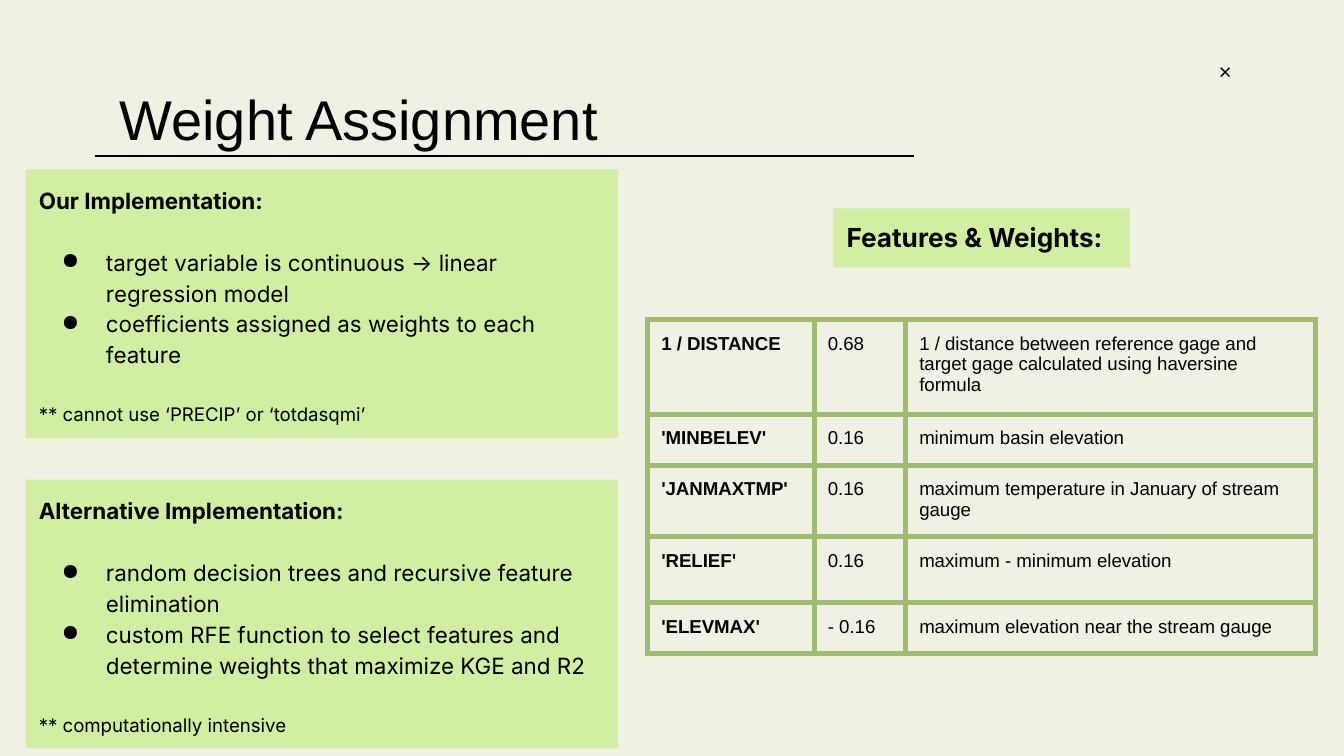
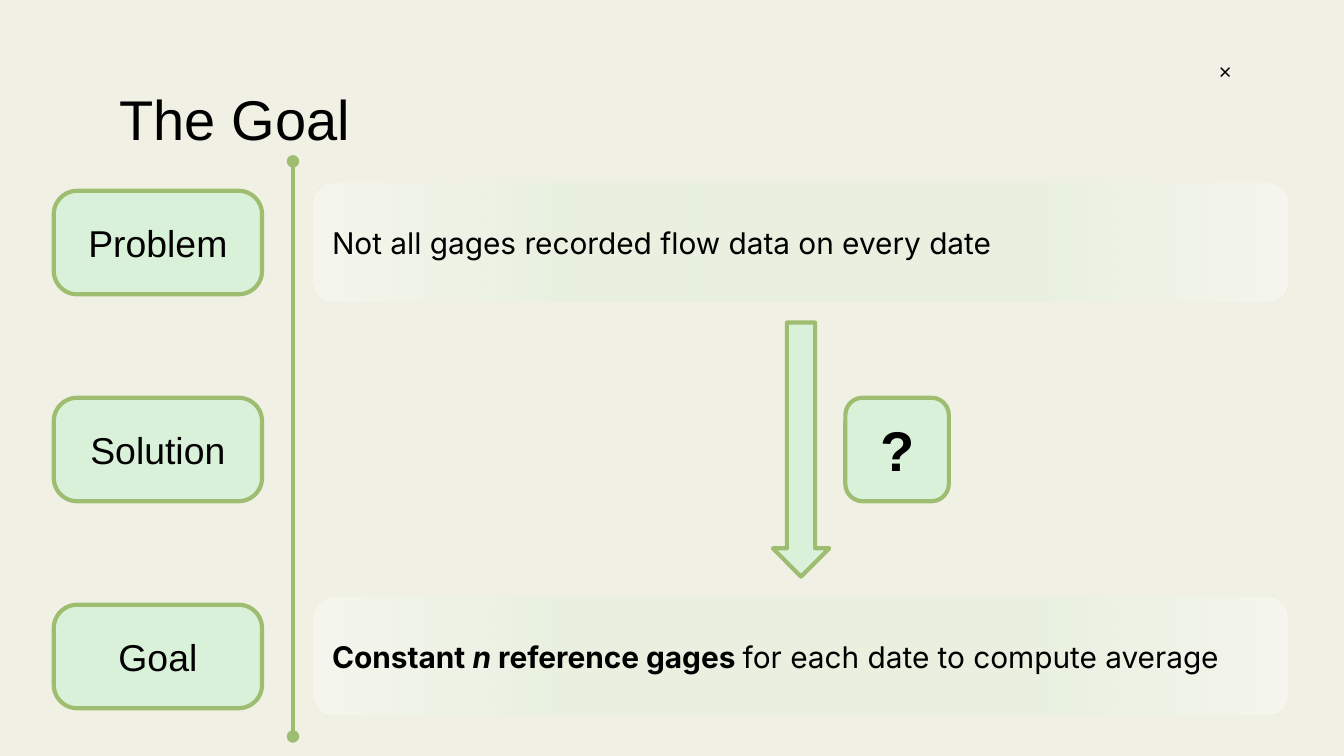
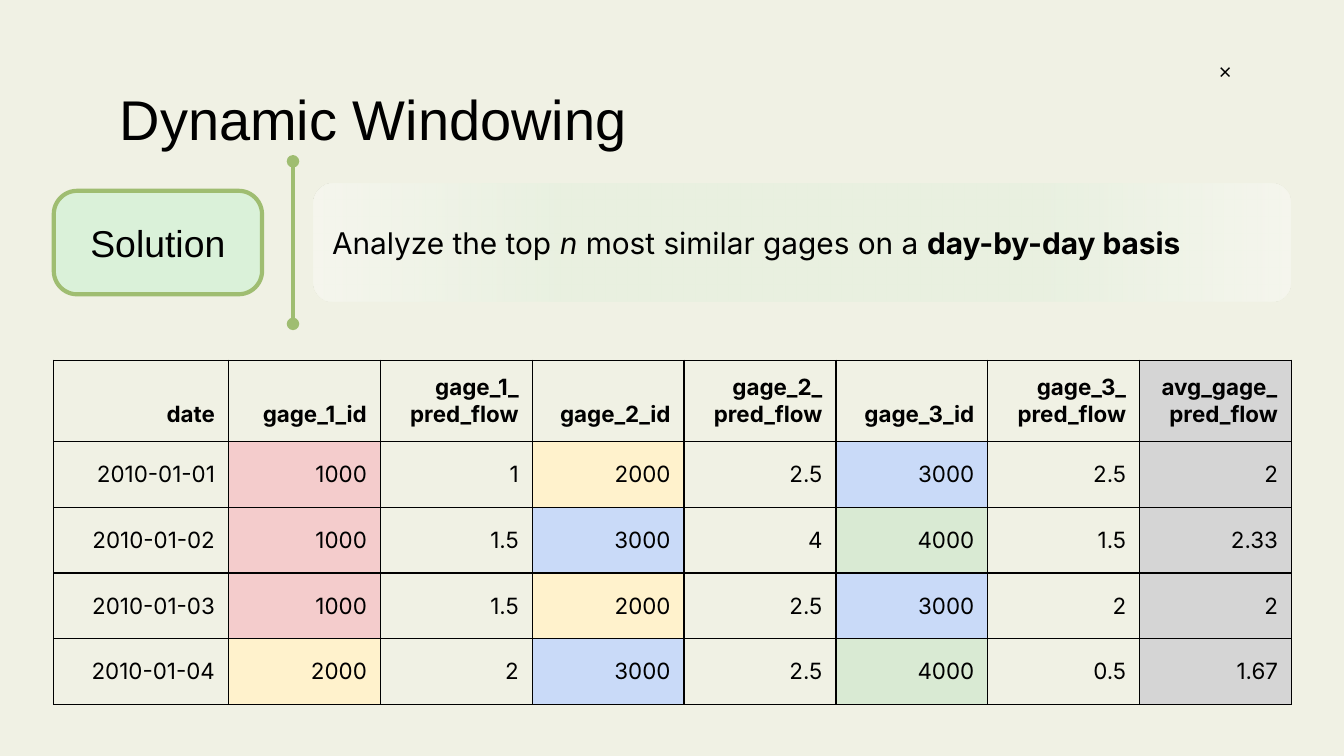
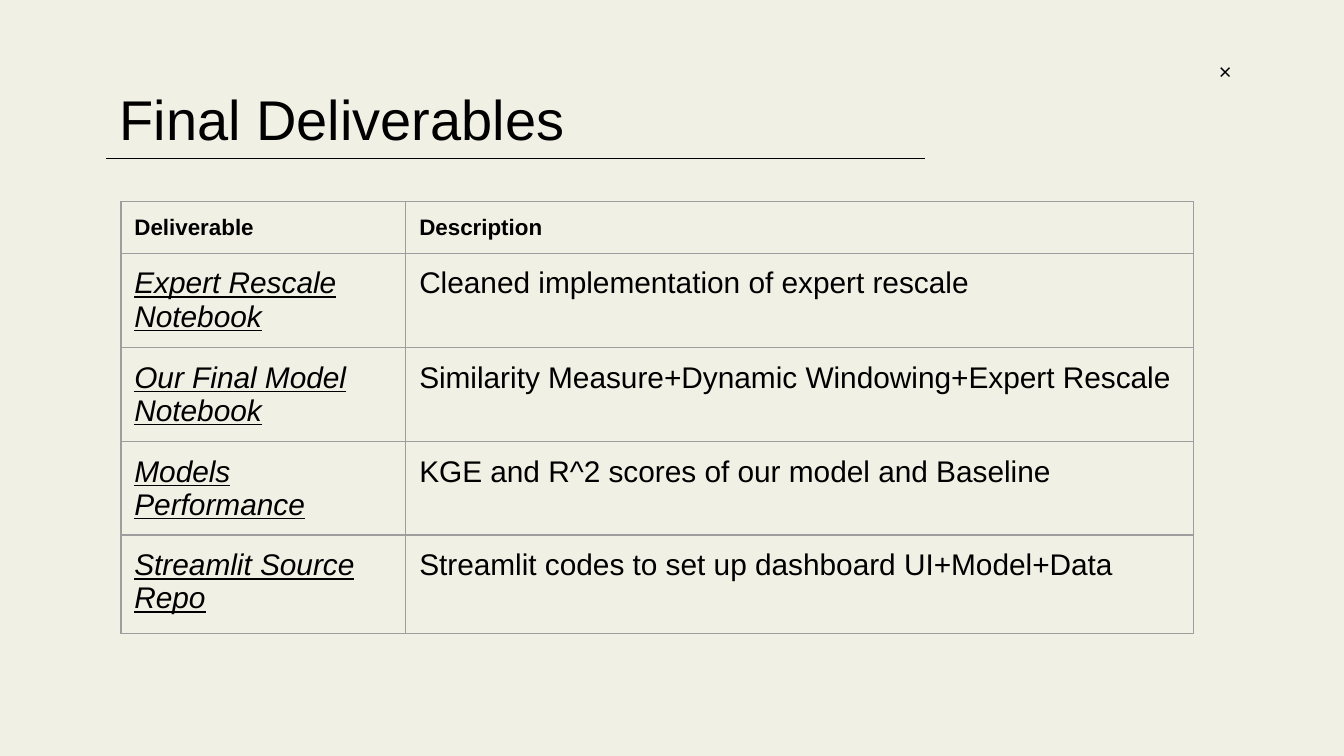
from lxml import etree
from pptx import Presentation
from pptx.dml.color import RGBColor
from pptx.enum.shapes import MSO_CONNECTOR, MSO_SHAPE
from pptx.enum.text import MSO_ANCHOR, MSO_AUTO_SIZE, PP_ALIGN
from pptx.oxml.ns import qn
from pptx.util import Inches, Pt

RECT, ROUNDED, DOWN_ARROW = MSO_SHAPE.RECTANGLE, MSO_SHAPE.ROUNDED_RECTANGLE, MSO_SHAPE.DOWN_ARROW
STRAIGHT = MSO_CONNECTOR.STRAIGHT
LEFT, CENTER, RIGHT = PP_ALIGN.LEFT, PP_ALIGN.CENTER, PP_ALIGN.RIGHT
TOP, MIDDLE, BOTTOM = MSO_ANCHOR.TOP, MSO_ANCHOR.MIDDLE, MSO_ANCHOR.BOTTOM
FIXED, GROW = MSO_AUTO_SIZE.NONE, MSO_AUTO_SIZE.SHAPE_TO_FIT_TEXT

SLIDE_W = Inches(10)
SLIDE_H = SLIDE_W * 9 // 16
CELL = SLIDE_W // 10

CREAM, BLACK, WHITE = "F0F1E4", "000000", "FFFFFF"
LIME, MINT, OLIVE = "D1EEA3", "DAF1D9", "9FBD71"
SILVER, GREY = "D5D5D5", "9E9E9E"
GAGE_FILLS = {"1000": "F4CCCC", "2000": "FFF2CC", "3000": "C9DAF8", "4000": "D9EAD3"}
SANS, BODY, MARK = "Arial", "Inter", "Open Sans"
BLANK_LINE = 16.7
STAGE_TOP, STAGE_STEP = 1.42, 1.54

WEIGHTS = [
    ["1 / DISTANCE", "0.68",
     "1 / distance between reference gage and target gage calculated using haversine formula"],
    ["'MINBELEV'", "0.16", "minimum basin elevation"],
    ["'JANMAXTMP'", "0.16", "maximum temperature in January of stream gauge"],
    ["'RELIEF'", "0.16", "maximum - minimum elevation"],
    ["'ELEVMAX'", "- 0.16", "maximum elevation near the stream gauge"],
]
FLOWS = [
    ["date", "gage_1_id", "gage_1_\npred_flow", "gage_2_id", "gage_2_\npred_flow",
     "gage_3_id", "gage_3_\npred_flow", "avg_gage_pred_flow"],
    ["2010-01-01", "1000", "1", "2000", "2.5", "3000", "2.5", "2"],
    ["2010-01-02", "1000", "1.5", "3000", "4", "4000", "1.5", "2.33"],
    ["2010-01-03", "1000", "1.5", "2000", "2.5", "3000", "2", "2"],
    ["2010-01-04", "2000", "2", "3000", "2.5", "4000", "0.5", "1.67"],
]
DELIVERABLES = [
    ["Deliverable", "Description"],
    ["Expert Rescale Notebook", "Cleaned implementation of expert rescale"],
    ["Our Final Model Notebook", "Similarity Measure+Dynamic Windowing+Expert Rescale"],
    ["Models Performance", "KGE and R^2 scores of our model and Baseline"],
    ["Streamlit Source Repo", "Streamlit codes to set up dashboard UI+Model+Data"],
]


def rgb(value):
    """Turn a hex string into a colour."""
    return RGBColor.from_string(value)


def area(*spans):
    """Turn grid columns and rows into lengths."""
    return [round(CELL * span) for span in spans]


def child(parent, tag, **attributes):
    """Append an XML element with the given attributes."""
    element = etree.SubElement(parent, qn(tag))
    for name, value in attributes.items():
        element.set(name, str(value))
    return element


def add_color(parent, value, alpha=None):
    """Append a colour element, optionally see-through."""
    color = child(parent, "a:srgbClr", val=value)
    if alpha is not None:
        child(color, "a:alpha", val=alpha * 1000)


def write(p, runs, size, font=BODY, align=LEFT):
    """Fill a paragraph with (text, style letters) runs."""
    p.alignment = align
    for text, style in runs:
        r = p.add_run()
        r.text = text
        r.font.size, r.font.name = Pt(size), font
        r.font.color.rgb = rgb(BLACK)
        r.font.bold, r.font.italic, r.font.underline = (k in style for k in "biu")


def set_frame(tf, anchor=TOP, auto_size=FIXED):
    """Give a text frame its insets, wrapping and anchor."""
    tf.margin_left = tf.margin_right = tf.margin_top = tf.margin_bottom = Inches(0.1)
    tf.word_wrap = True
    tf.auto_size = auto_size
    tf.vertical_anchor = anchor


def add_shape(s, kind, at, fill=None, line=None, adjust=None):
    """Add a flat preset shape."""
    sp = s.shapes.add_shape(kind, *area(*at))
    sp.shadow.inherit = False
    if adjust is not None:
        sp.adjustments[0] = adjust
    if fill:
        sp.fill.solid()
        sp.fill.fore_color.rgb = rgb(fill)
    if line:
        sp.line.color.rgb = rgb(line)
        sp.line.width = Pt(2.25)
    else:
        sp.line.fill.background()
    return sp


def add_line(s, start, end, color, width, dots=False):
    """Add a straight line, optionally ending in dots."""
    line = s.shapes.add_connector(STRAIGHT, *area(*start, *end))
    line.line.color.rgb = rgb(color)
    line.line.width = Pt(width)
    if dots:
        for tag in ("a:headEnd", "a:tailEnd"):
            child(line.line._ln, tag, type="oval")
    child(line._element.spPr, "a:effectLst")


def add_titled_slide(prs, layout, title):
    """Add a slide with its styled title."""
    s = prs.slides.add_slide(layout)
    sp = s.shapes.title
    sp.left, sp.top, sp.width, sp.height = area(0.79, 0.49, 8.43, 0.63)
    set_frame(sp.text_frame)
    sp.text_frame.margin_top = Inches(0.14)
    write(sp.text_frame.paragraphs[0], [(title, "")], 30, SANS)
    return s


def add_corner_mark(s, layout):
    """Put the corner cross on the shared layout."""
    mark = s.shapes.add_textbox(*area(8.97, 0.33, 0.2, 0.4))
    set_frame(mark.text_frame, auto_size=GROW)
    write(mark.text_frame.paragraphs[0], [("×", "")], 12, MARK, CENTER)
    layout.shapes._spTree.append(mark._element)


def add_bullet(p):
    """Give a paragraph a round bullet and hanging indent."""
    pPr = p._p.get_or_add_pPr()
    pPr.set("marL", str(Inches(0.5)))
    pPr.set("indent", str(Inches(-0.33)))
    add_color(child(pPr, "a:buClr"), BLACK)
    child(pPr, "a:buChar", char="●")


def add_method_card(s, top, heading, points, note):
    """Add a card with a heading, bullets and a footnote."""
    tf = add_shape(s, RECT, (0.19, top, 4.41, 2), LIME).text_frame
    set_frame(tf, auto_size=GROW)
    write(tf.paragraphs[0], [(heading, "b")], 12)
    for point in points:
        p = tf.add_paragraph()
        add_bullet(p)
        write(p, [(point, "")], 12)
    write(tf.add_paragraph(), [(note, "")], 10)
    for p in tf.paragraphs:
        p.line_spacing = 1.15
    for p in (tf.paragraphs[1], tf.paragraphs[-1]):
        p.space_before = Pt(BLANK_LINE)


def add_badge(s, at, text, size, style="", adjust=0.167):
    """Add an outlined mint box with centred text."""
    tf = add_shape(s, ROUNDED, at, MINT, OLIVE, adjust).text_frame
    set_frame(tf, MIDDLE)
    write(tf.paragraphs[0], [(text, style)], size, SANS, CENTER)


def add_stage(s, row, label):
    """Add the label of a stage in the left column."""
    add_badge(s, (0.4, STAGE_TOP + row * STAGE_STEP, 1.55, 0.77), label, 20, adjust=0.226)


def add_statement(s, row, runs, width=7.25):
    """Add the fading band that explains a stage."""
    sp = add_shape(s, ROUNDED, (2.33, STAGE_TOP - 0.05 + row * STAGE_STEP, width, 0.87), adjust=0.167)
    fade = etree.Element(qn("a:gradFill"), rotWithShape="1")
    stops = child(fade, "a:gsLst")
    for i, color in enumerate((WHITE, MINT, MINT, MINT, WHITE)):
        add_color(child(stops, "a:gs", pos=i * 25000), color, 33)
    child(fade, "a:lin", ang=0, scaled=0)
    sp._element.spPr.find(qn("a:prstGeom")).addnext(fade)
    set_frame(sp.text_frame, MIDDLE)
    write(sp.text_frame.paragraphs[0], runs, 16)


def add_borders(cell, color, width):
    """Draw the four borders of a cell."""
    tcPr = cell._tc.get_or_add_tcPr()
    for side in "LRTB":
        ln = child(tcPr, f"a:ln{side}", w=Pt(width))
        add_color(child(ln, "a:solidFill"), color)


def add_table(s, corner, cols, rows, data, border, look):
    """Add a table; look(row, col, text) gives size, style and fill."""
    frame = s.shapes.add_table(len(rows), len(cols), *area(*corner, sum(cols), sum(rows)))
    table = frame.table
    table.first_row = table.horz_banding = False
    for column, width in zip(table.columns, cols):
        column.width, = area(width)
    for r, height in enumerate(rows):
        table.rows[r].height, = area(height)
        for c, text in enumerate(data[r]):
            cell = table.cell(r, c)
            style = look(r, c, text)
            cell.margin_left = cell.margin_right = cell.margin_top = cell.margin_bottom = Inches(0.1)
            cell.vertical_anchor = style.get("anchor", TOP)
            add_borders(cell, *border)
            if style.get("fill"):
                cell.fill.solid()
                cell.fill.fore_color.rgb = rgb(style["fill"])
            else:
                cell.fill.background()
            for i, part in enumerate(text.split("\n")):
                p = cell.text_frame.add_paragraph() if i else cell.text_frame.paragraphs[0]
                write(p, [(part, style["marks"])], style["size"],
                      style.get("font", SANS), style.get("align", LEFT))


def weight_look(row, col, text):
    """Style the weights: bold feature names."""
    return {"size": 10, "marks": "" if col else "b"}


def flow_look(row, col, text):
    """Style the flows: a colour for each gage, grey for averages."""
    return {"size": 12, "font": BODY, "align": RIGHT, "marks": "" if row else "b",
            "anchor": MIDDLE if row else BOTTOM,
            "fill": SILVER if col == 7 else GAGE_FILLS.get(text)}


def deliverable_look(row, col, text):
    """Style the deliverables: bold header, underlined names."""
    if row == 0:
        return {"size": 12, "marks": "b"}
    return {"size": 16, "marks": "" if col else "iu"}


def build_weights(s):
    """Build the slide on weight assignment."""
    add_line(s, (6.8, 1.16), (0.71, 1.16), BLACK, 0.75)
    add_method_card(s, 1.26, "Our Implementation:",
                    ["target variable is continuous → linear regression model",
                     "coefficients assigned as weights to each feature"],
                    "** cannot use ‘PRECIP’ or ‘totdasqmi’")
    add_method_card(s, 3.57, "Alternative Implementation:",
                    ["random decision trees and recursive feature elimination",
                     "custom RFE function to select features and determine weights that maximize KGE and R2"],
                    "** computationally intensive")
    add_table(s, (4.82, 2.38), [1.24, 0.68, 3.05], [0.65, 0.38, 0.49, 0.49, 0.38],
              WEIGHTS, (OLIVE, 3), weight_look)
    tf = add_shape(s, RECT, (6.2, 1.55, 2.21, 0.44), LIME).text_frame
    set_frame(tf, auto_size=GROW)
    write(tf.paragraphs[0], [("Features & Weights:", "b")], 14)


def build_goal(s):
    """Build the slide on the goal."""
    add_line(s, (2.18, 1.2), (2.18, 5.48), OLIVE, 2.25, dots=True)
    for row, label in enumerate(("Problem", "Solution", "Goal")):
        add_stage(s, row, label)
    add_statement(s, 0, [("Not all gages recorded flow data on every date", "")])
    add_statement(s, 2, [("Constant ", "b"), ("n", "bi"), (" reference gages ", "b"),
                         ("for each date to compute average", "")])
    add_shape(s, DOWN_ARROW, (5.75, 2.4, 0.42, 1.89), MINT, OLIVE)
    add_badge(s, (6.29, STAGE_TOP + STAGE_STEP, 0.77, 0.77), "?", 30, "b")


def build_windowing(s):
    """Build the slide on dynamic windowing."""
    add_table(s, (0.4, 2.68), [1.3] + [1.13] * 7, [0.49] * 5, FLOWS, (BLACK, 0.75), flow_look)
    add_line(s, (2.18, 1.2), (2.18, 2.41), OLIVE, 2.25, dots=True)
    add_stage(s, 0, "Solution")
    add_statement(s, 0, [("Analyze the top ", ""), ("n", "i"), (" most similar gages on a ", ""),
                         ("day-by-day basis", "b")], 7.27)


def build_deliverables(s):
    """Build the slide on final deliverables."""
    add_line(s, (6.88, 1.18), (0.79, 1.18), BLACK, 0.75)
    add_table(s, (0.9, 1.5), [2.12, 5.86], [0.35, 0.7, 0.7, 0.52, 0.73],
              DELIVERABLES, (GREY, 0.75), deliverable_look)


def main():
    """Build the presentation and save it."""
    prs = Presentation()
    prs.slide_width, prs.slide_height = SLIDE_W, SLIDE_H
    background = prs.slide_master.background.fill
    background.solid()
    background.fore_color.rgb = rgb(CREAM)
    layout = prs.slide_layouts.get_by_name("Title Only")
    pages = [("Weight Assignment", build_weights), ("The Goal", build_goal),
             ("Dynamic Windowing", build_windowing), ("Final Deliverables", build_deliverables)]
    for title, build in pages:
        build(add_titled_slide(prs, layout, title))
    add_corner_mark(prs.slides[0], layout)
    prs.save("out.pptx")


if __name__ == "__main__":
    main()
